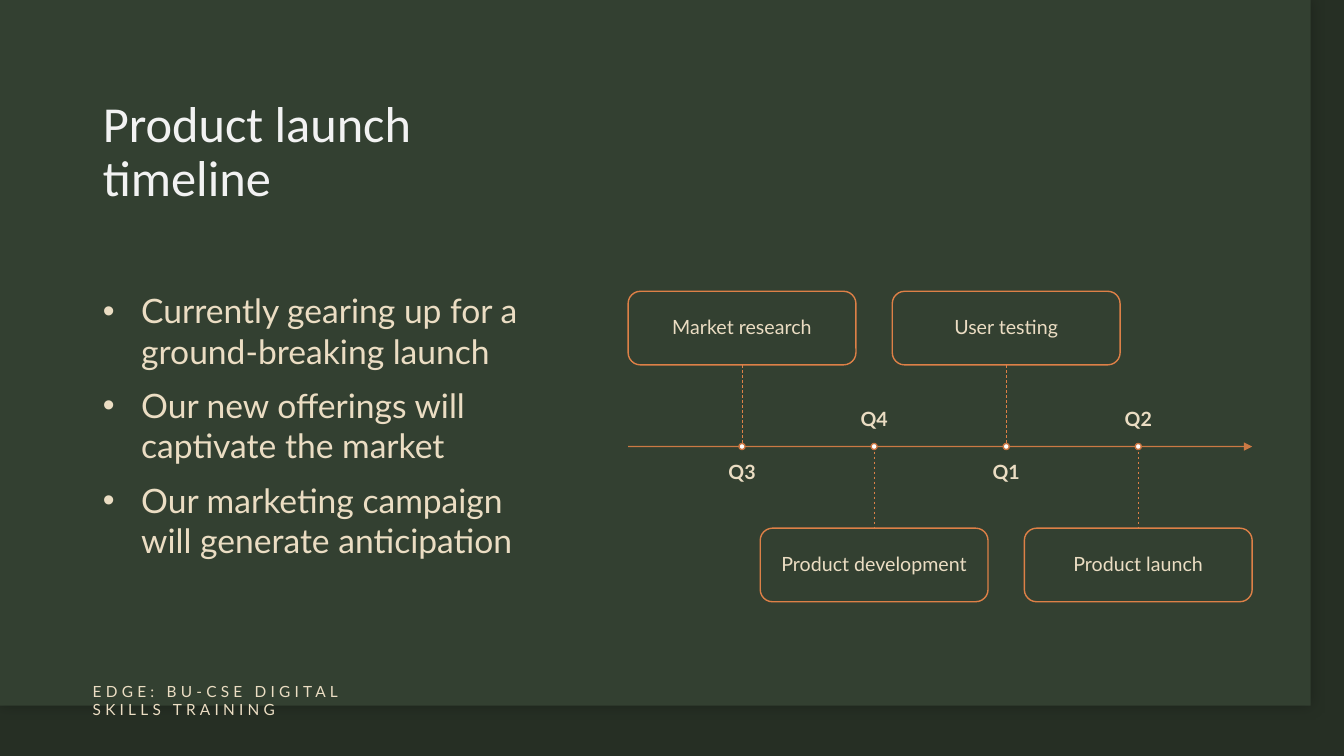
from lxml import etree
from pptx import Presentation
from pptx import util as u
from pptx.dml.color import RGBColor
from pptx.enum import dml, shapes, text
from pptx.oxml.ns import qn

TITLE = "Product launch\vtimeline"
BULLETS = [
    "Currently gearing up for a ground-breaking launch",
    "Our new offerings will captivate the market",
    "Our marketing campaign will generate anticipation",
]
MILESTONES = [
    ("Q3", "Market research"),
    ("Q4", "Product development"),
    ("Q1", "User testing"),
    ("Q2", "Product launch"),
]
FOOTER = "EDGE: BU-CSE DIGITAL SKILLS TRAINING"

# Torn paper edges, sampled at equal steps across and down the slide
TOP_EDGE = [.45, .36, .4, .25, .32, .41, .41, .43, .41, .49, .41, .38, .4, .37, .35]
BOTTOM_EDGE = [7.14, 7.16, 7.23, 7.14, 7.17, 7.15, 7.24, 7.17, 7.08, 7.17, 7.27, 7.19,
               7.15, 7.17, 7.13]
LEFT_EDGE = [.33, .28, .39, .41, .43, .37, .34]
RIGHT_EDGE = [12.98, 12.92, 12.99, 13.02, 12.97, 12.98, 13.07]
EDGE_X, EDGE_DX = 0.5, 0.88
EDGE_Y, EDGE_DY = 0.8, 1

PAPER = RGBColor(0x33, 0x40, 0x31)
BLACK = RGBColor(0, 0, 0)
WHITE = RGBColor(255, 255, 255)
TITLE_WHITE = RGBColor(0xF2, 0xF2, 0xF2)
CREAM = RGBColor(0xEB, 0xDD, 0xC3)
ORANGE = RGBColor(0xDD, 0x80, 0x47)
DOT_RIM = RGBColor(0xC9, 0x74, 0x40)

WIDTH, HEIGHT = 13.33, 7.5
MARGIN = 0.92
AXIS_LEFT, AXIS_RIGHT, AXIS_Y = 6.23, 12.42, 4.43
CARD_W, CARD_H, STEM = 2.26, 0.73, 0.81
STEP = (AXIS_RIGHT - AXIS_LEFT - CARD_W) / (len(MILESTONES) - 1)
LABEL_W, LABEL_H, LABEL_GAP = 1.99, 0.48, 0.16
DOT = 0.06


def inches(*lengths):
    return [u.Inches(length) for length in lengths]


def paper_outline():
    def across(edge):
        return [(EDGE_X + i * EDGE_DX, y) for i, y in enumerate(edge)]

    def down(edge):
        return [(x, EDGE_Y + i * EDGE_DY) for i, x in enumerate(edge)]

    return (across(TOP_EDGE) + down(RIGHT_EDGE)
            + across(BOTTOM_EDGE)[::-1] + down(LEFT_EDGE)[::-1])


def smooth(points, steps=6):
    """Closed Catmull-Rom curve through the points."""
    curve = []
    for i, b in enumerate(points):
        a, c, d = points[i - 1], points[(i + 1) % len(points)], points[(i + 2) % len(points)]
        for t in (k / steps for k in range(steps)):
            curve.append(tuple(
                q + t / 2 * (r - p + t * (2 * p - 5 * q + 4 * r - s + t * (3 * (q - r) + s - p)))
                for p, q, r, s in zip(a, b, c, d)))
    return curve


def set_alpha(fill, percent):
    color = fill._xPr.find(qn("a:solidFill"))[0]
    etree.SubElement(color, qn("a:alpha"), val=str(percent * 1000))


def add_backdrop(page):
    page.background.fill.solid()
    page.background.fill.fore_color.rgb = PAPER
    shade = page.shapes.add_shape(shapes.MSO_SHAPE.RECTANGLE, *inches(0, 0, WIDTH, HEIGHT))
    outline = smooth(paper_outline())
    builder = page.shapes.build_freeform(*outline[0], scale=u.Inches(1))
    builder.add_line_segments(outline[1:], close=True)
    paper = builder.convert_to_shape()
    for depth, (shape, color) in enumerate([(shade, BLACK), (paper, PAPER)]):
        shape.shadow.inherit = False
        shape.fill.solid()
        shape.fill.fore_color.rgb = color
        shape.line.fill.background()
        page.shapes._spTree.insert(2 + depth, shape._element)
    set_alpha(shade.fill, 25)
    effects = paper._element.spPr.find(qn("a:effectLst"))
    glow = etree.SubElement(effects, qn("a:outerShdw"), blurRad=str(u.Pt(10)), dist="0")
    color = etree.SubElement(glow, qn("a:srgbClr"), val="000000")
    etree.SubElement(color, qn("a:alpha"), val="26000")


def write(shape, lines, size, color=CREAM, font="Lato", bold=False, spacing=1.0, gap=0,
          align=text.PP_ALIGN.LEFT, anchor=text.MSO_ANCHOR.TOP, insets=(0.1, 0.05)):
    frame = shape.text_frame
    frame.word_wrap = True
    frame.auto_size = text.MSO_AUTO_SIZE.NONE
    frame.vertical_anchor = anchor
    frame.margin_left = frame.margin_right = u.Inches(insets[0])
    frame.margin_top = frame.margin_bottom = u.Inches(insets[1])
    frame.text = "\n".join(lines)
    for i, para in enumerate(frame.paragraphs):
        para.alignment = align
        para.line_spacing = spacing
        para.space_before = u.Pt(gap if i else 0)
        para.font.size, para.font.name, para.font.bold = u.Pt(size), font, bold
        para.font.color.rgb = color


def place(shape, *box):
    shape.left, shape.top, shape.width, shape.height = inches(*box)


def add_line(parts, x1, y1, x2, y2, weight):
    line = parts.add_connector(shapes.MSO_CONNECTOR.STRAIGHT, *inches(x1, y1, x2, y2))
    line.line.color.rgb = ORANGE
    line.line.width = u.Pt(weight)
    etree.SubElement(line._element.spPr, qn("a:effectLst"))
    return line


def add_outlined(parts, kind, box, color):
    shape = parts.add_shape(kind, *inches(*box))
    shape.shadow.inherit = False
    shape.fill.background()
    shape.line.color.rgb = color
    shape.line.width = u.Pt(1)
    return shape


def add_timeline(page):
    parts = page.shapes.add_group_shape().shapes
    axis = add_line(parts, AXIS_LEFT, AXIS_Y, AXIS_RIGHT, AXIS_Y, 1)
    set_alpha(axis.line.fill, 90)
    etree.SubElement(axis.line._ln, qn("a:tailEnd"), type="triangle")
    center = text.PP_ALIGN.CENTER
    for i, (quarter, task) in enumerate(MILESTONES):
        x = AXIS_LEFT + CARD_W / 2 + i * STEP
        above = i % 2 == 0
        stem_end = AXIS_Y - STEM if above else AXIS_Y + STEM
        card_top = stem_end - CARD_H if above else stem_end
        label_top = AXIS_Y + LABEL_GAP if above else AXIS_Y - LABEL_GAP - LABEL_H

        label = parts.add_textbox(*inches(x - LABEL_W / 2, label_top, LABEL_W, LABEL_H))
        write(label, [quarter], 14, bold=True, spacing=0.9, align=center, insets=(0, 0),
              anchor=text.MSO_ANCHOR.TOP if above else text.MSO_ANCHOR.BOTTOM)
        card = add_outlined(parts, shapes.MSO_SHAPE.ROUNDED_RECTANGLE,
                            (x - CARD_W / 2, card_top, CARD_W, CARD_H), ORANGE)
        write(card, [task], 14, spacing=0.9, align=center,
              anchor=text.MSO_ANCHOR.MIDDLE, insets=(0.14, 0.14))
        stem = add_line(parts, x, min(AXIS_Y, stem_end), x, max(AXIS_Y, stem_end), 0.5)
        stem.line.dash_style = dml.MSO_LINE.DASH
        dot = add_outlined(parts, shapes.MSO_SHAPE.OVAL,
                           (x - DOT / 2, AXIS_Y - DOT / 2, DOT, DOT), DOT_RIM)
        dot.fill.solid()
        dot.fill.fore_color.rgb = WHITE


def main():
    deck = Presentation()
    deck.slide_width, deck.slide_height = inches(WIDTH, HEIGHT)
    page = deck.slides.add_slide(deck.slide_layouts[1])
    add_backdrop(page)

    title, body = page.placeholders
    place(title, MARGIN, 0.93, 11.5, 1.51)
    write(title, [TITLE], 36, TITLE_WHITE, "Calibri", spacing=0.9)
    place(body, MARGIN, 2.83, 4.62, 3.48)
    write(body, BULLETS, 24, gap=10)
    for para in body.text_frame.paragraphs:
        props = para._p.get_or_add_pPr()
        props.set("marL", str(u.Inches(0.38)))
        props.set("indent", str(-u.Inches(0.38)))

    add_timeline(page)

    footer = page.shapes.add_textbox(*inches(MARGIN, 6.75, 3.23, 0.4))
    write(footer, [FOOTER], 11, anchor=text.MSO_ANCHOR.MIDDLE)
    footer.text_frame.margin_left = 0
    footer.text_frame.paragraphs[0].runs[0].font._element.set("spc", "300")
    deck.save("out.pptx")


if __name__ == "__main__":
    main()
